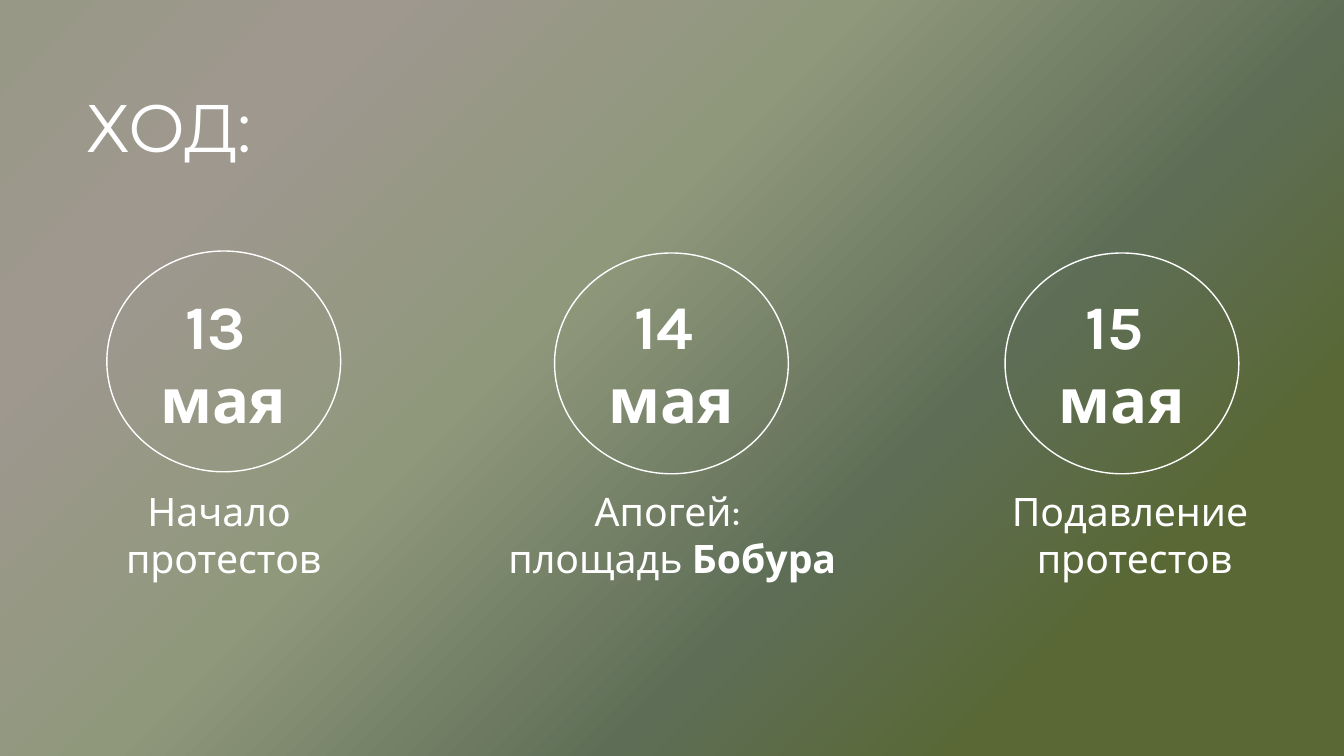
"""Builds the slide on the course of the protests over three days in May."""
from copy import deepcopy

from pptx import Presentation
from pptx.dml.color import RGBColor
from pptx.enum import shapes, text
from pptx.util import Pt

WHITE = RGBColor(0xFF, 0xFF, 0xFF)
GRADIENT = [
    (0, RGBColor(0x97, 0x98, 0x86)),
    (18, RGBColor(0x9E, 0x98, 0x8F)),
    (41, RGBColor(0x90, 0x98, 0x7C)),
    (65, RGBColor(0x5E, 0x6E, 0x56)),
    (82, RGBColor(0x59, 0x68, 0x35)),
]
TITLE_FONT, BODY_FONT = "Montserrat", "Karla"
CIRCLE_WIDTH, CIRCLE_HEIGHT = 167, 157.7
DAYS = [
    (159.8, 179.3, 0, "13 ", [["Начало "], ["протестов"]]),
    (479.6, 180.7, 0.6, "14 ", [["Апогей: "], ["площадь ", "Бобура"]]),
    (801.4, 180.7, 9, "15 ", [["Подавление "], ["протестов"]]),
]


def paint_background(slide):
    """Fill the slide background with the diagonal gradient."""
    fill = slide.background.fill
    fill.gradient()
    fill.gradient_angle = 315
    stop_list = slide.element.xpath(".//a:gsLst")[0]
    while len(stop_list) < len(GRADIENT):
        stop_list.append(deepcopy(stop_list[0]))
    for stop, (percent, color) in zip(fill.gradient_stops, GRADIENT):
        stop.position = percent / 100
        stop.color.rgb = color


def format_font(font, name, size, bold=False):
    """Set a white font of the given name and size."""
    font.name, font.size, font.bold = name, Pt(size), bold
    font.color.rgb = WHITE


def place_title(slide, left, top, width, height):
    """Move and format the title placeholder."""
    title = slide.shapes.title
    title.left, title.top, title.width, title.height = map(Pt, (left, top, width, height))
    frame = title.text_frame
    frame.text = "ХОД:"
    frame.auto_size = text.MSO_AUTO_SIZE.NONE
    frame.vertical_anchor = text.MSO_ANCHOR.TOP
    paragraph = frame.paragraphs[0]
    paragraph.alignment = text.PP_ALIGN.LEFT
    format_font(paragraph.font, TITLE_FONT, 48)


def add_centred_text(slide, left, top, width, height, lines, size, bold=False):
    """Add centred lines, each a list of runs whose second run is bold."""
    box = slide.shapes.add_textbox(Pt(left), Pt(top), Pt(width), Pt(height))
    frame = box.text_frame
    frame.word_wrap = True
    for index, runs in enumerate(lines):
        paragraph = frame.add_paragraph() if index else frame.paragraphs[0]
        paragraph.alignment = text.PP_ALIGN.CENTER
        format_font(paragraph.font, BODY_FONT, size, bold)
        for position, words in enumerate(runs):
            run = paragraph.add_run()
            run.text = words
            if position:
                run.font.bold = True


def add_day(slide, center, top, caption_shift, day, caption):
    """Add a circled date with its caption around a vertical axis."""
    circle = slide.shapes.add_shape(
        shapes.MSO_SHAPE.OVAL, Pt(center - CIRCLE_WIDTH / 2), Pt(top),
        Pt(CIRCLE_WIDTH), Pt(CIRCLE_HEIGHT))
    circle.shadow.inherit = False
    circle.fill.background()
    circle.line.color.rgb = WHITE
    circle.line.width = Pt(1)
    add_centred_text(slide, center - 96, 202.3, 192, 113.8, [[day], ["мая"]], 44, True)
    add_centred_text(slide, center + caption_shift - 149, 344.2, 298, 75, caption, 28)


def main():
    """Build and save the presentation."""
    presentation = Presentation()
    presentation.slide_width, presentation.slide_height = Pt(960), Pt(540)
    slide = presentation.slides.add_slide(presentation.slide_layouts.get_by_name("Title Only"))
    paint_background(slide)
    place_title(slide, 54.7, 57.6, 367.2, 65.5)
    for day in DAYS:
        add_day(slide, *day)
    presentation.save("out.pptx")


if __name__ == "__main__":
    main()
